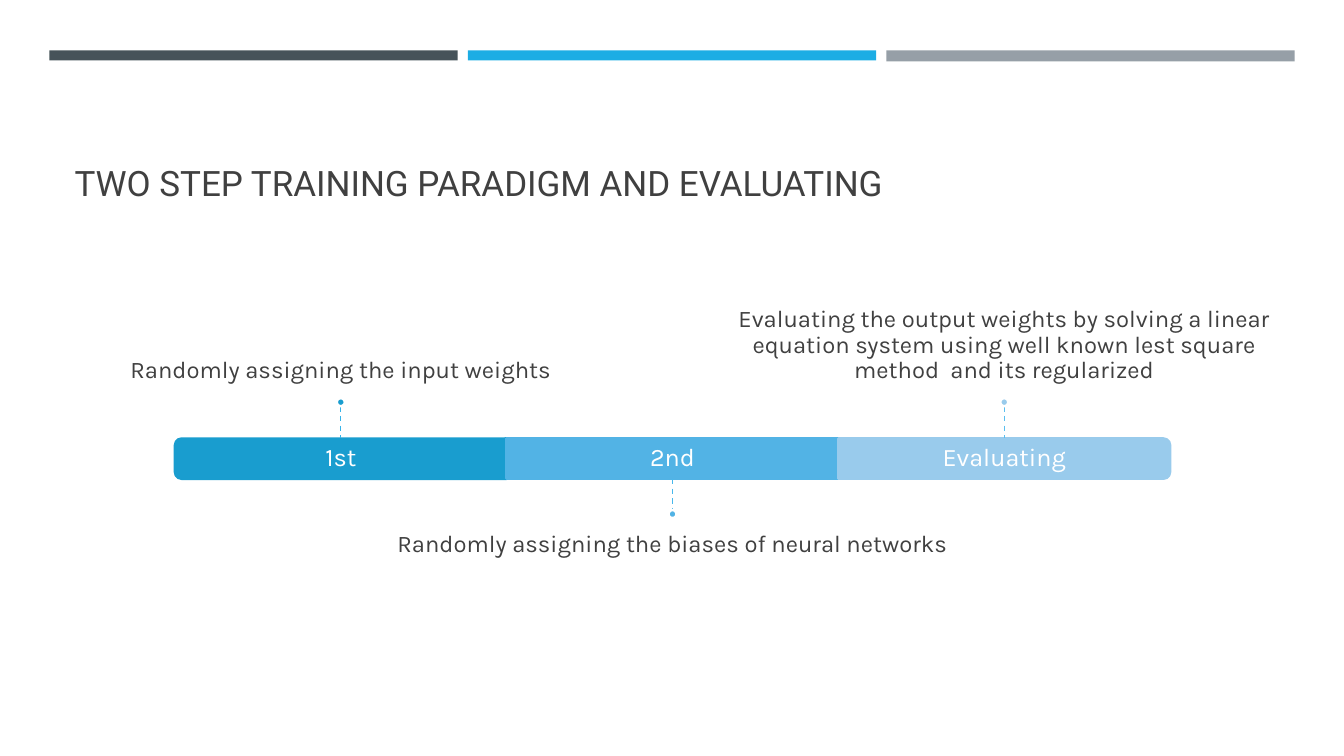
"""Build the slide on the two training steps and the final evaluation."""
from dataclasses import dataclass

from lxml import etree
from pptx import Presentation
from pptx.dml.color import RGBColor
from pptx.enum.dml import MSO_LINE
from pptx.enum.shapes import MSO_CONNECTOR, MSO_SHAPE
from pptx.enum.text import MSO_ANCHOR, MSO_AUTO_SIZE, PP_ALIGN
from pptx.oxml.ns import qn
from pptx.shapes.autoshape import Shape
from pptx.slide import Slide
from pptx.text.text import TextFrame
from pptx.util import Inches, Pt

RECT = MSO_SHAPE.RECTANGLE
ROUND = MSO_SHAPE.ROUND_2_SAME_RECTANGLE
OVAL = MSO_SHAPE.OVAL
STRAIGHT = MSO_CONNECTOR.STRAIGHT
DASH = MSO_LINE.DASH
TOP, MIDDLE, BOTTOM = MSO_ANCHOR.TOP, MSO_ANCHOR.MIDDLE, MSO_ANCHOR.BOTTOM
LEFT, CENTER = PP_ALIGN.LEFT, PP_ALIGN.CENTER
FIXED = MSO_AUTO_SIZE.NONE

INK, WHITE = "404040", "FFFFFF"
FIRST_X, PITCH = 3.38, 3.29
BAR_TOP, BAR_H = 4.35, 0.4
NOTE_W, NOTE_H, NOTE_PAD = 5.48, 1.39, 0.14
DOT = 0.08


@dataclass(frozen=True)
class Band:
    """One strip of the header rule."""
    left: float
    height: float
    fill: str


@dataclass(frozen=True)
class Stage:
    """One part of the timeline with its note."""
    label: str
    note: str
    fill: str
    stem: str
    kind: MSO_SHAPE
    turn: int
    above: bool


BANDS = [
    Band(0.49, 0.1, "465359"),
    Band(8.79, 0.11, "969FA7"),
    Band(4.64, 0.1, "1CADE4"),
]
STAGES = [
    Stage("1st", "Randomly assigning the input weights",
          "199DCF", "36B3E9", ROUND, 270, True),
    Stage("2nd", "Randomly assigning the biases of neural networks",
          "52B3E5", "48B8EC", RECT, 0, False),
    Stage("Evaluating",
          "Evaluating the output weights by solving a linear equation system "
          "using well known lest square method  and its regularized",
          "99CBEC", "5ABEEF", ROUND, 90, True),
]


def tint(code: str) -> RGBColor:
    """Turn a hex string into a colour."""
    return RGBColor.from_string(code)


def add_form(slide: Slide, kind: MSO_SHAPE, x: float, y: float, w: float,
             h: float, fill: str, edge: str = "") -> Shape:
    """Add a filled shape, with an outline if an edge colour is given."""
    form = slide.shapes.add_shape(kind, Inches(x), Inches(y), Inches(w), Inches(h))
    form.shadow.inherit = False
    form.fill.solid()
    form.fill.fore_color.rgb = tint(fill)
    if edge:
        form.line.color.rgb = tint(edge)
        form.line.width = Pt(1.75)
    else:
        form.line.fill.background()
    return form


def set_text(frame: TextFrame, text: str, font: str, size: float, color: str,
             align: PP_ALIGN, anchor: MSO_ANCHOR) -> None:
    """Fill a frame with one styled line of thought."""
    frame.text = text
    frame.word_wrap = True
    frame.auto_size = FIXED
    frame.vertical_anchor = anchor
    para = frame.paragraphs[0]
    para.alignment = align
    para.line_spacing = 0.9
    face = para.runs[0].font
    face.name, face.size = font, Pt(size)
    face.color.rgb = tint(color)


def add_text(slide: Slide, text: str, x: float, y: float, w: float, h: float,
             size: float, color: str, anchor: MSO_ANCHOR,
             pads: tuple[float, float, float, float]) -> None:
    """Add a centred text box; pads run left, top, right, bottom."""
    box = slide.shapes.add_textbox(Inches(x), Inches(y), Inches(w), Inches(h))
    frame = box.text_frame
    frame.margin_left, frame.margin_top, frame.margin_right, frame.margin_bottom = (
        Inches(pad) for pad in pads)
    set_text(frame, text, "Karla", size, color, CENTER, anchor)


def add_stem(slide: Slide, x: float, start: float, end: float, color: str) -> None:
    """Add an upright dashed line."""
    stem = slide.shapes.add_connector(
        STRAIGHT, Inches(x), Inches(start), Inches(x), Inches(end))
    stem.line.color.rgb = tint(color)
    stem.line.width = Pt(1)
    stem.line.dash_style = DASH
    etree.SubElement(stem._element.spPr, qn("a:effectLst"))


def add_stage(slide: Slide, stage: Stage, x: float) -> None:
    """Draw a stage around its centre x."""
    wide, high = (BAR_H, PITCH) if stage.turn else (PITCH, BAR_H)
    mid = BAR_TOP + BAR_H / 2
    bar = add_form(slide, stage.kind, x - wide / 2, mid - high / 2,
                   wide, high, stage.fill, stage.fill)
    bar.rotation = stage.turn
    add_text(slide, stage.label, x - PITCH / 2, BAR_TOP, PITCH, BAR_H,
             18, WHITE, MIDDLE, (0.15,) * 4)
    if stage.above:
        note_y, anchor, pads = 2.56, BOTTOM, (0, 0, 0, NOTE_PAD)
        start, end, dot_y = 4.03, BAR_TOP, 3.95
    else:
        note_y, anchor, pads = 5.14, TOP, (0, NOTE_PAD, 0, 0)
        start, end, dot_y = BAR_TOP + BAR_H, 5.06, 5.06
    add_text(slide, stage.note, x - NOTE_W / 2, note_y, NOTE_W, NOTE_H,
             17, INK, anchor, pads)
    add_stem(slide, x, start, end, stage.stem)
    add_form(slide, OVAL, x - DOT / 2, dot_y, DOT, DOT, stage.fill, WHITE)


def main() -> None:
    """Build and save the deck."""
    deck = Presentation()
    deck.slide_width, deck.slide_height = Inches(13.33), Inches(7.5)
    slide = deck.slides.add_slide(deck.slide_layouts[5])
    title = slide.shapes.title
    title.left, title.top = Inches(0.64), Inches(0.77)
    title.width, title.height = Inches(12.06), Inches(1.3)
    set_text(title.text_frame, "TWO STEP TRAINING PARADIGM AND EVALUATING",
             "Roboto", 25, INK, LEFT, BOTTOM)
    for band in BANDS:
        add_form(slide, RECT, band.left, 0.5, 4.05, band.height, band.fill)
    for i, stage in enumerate(STAGES):
        add_stage(slide, stage, FIRST_X + i * PITCH)
    deck.save("out.pptx")


if __name__ == "__main__":
    main()
